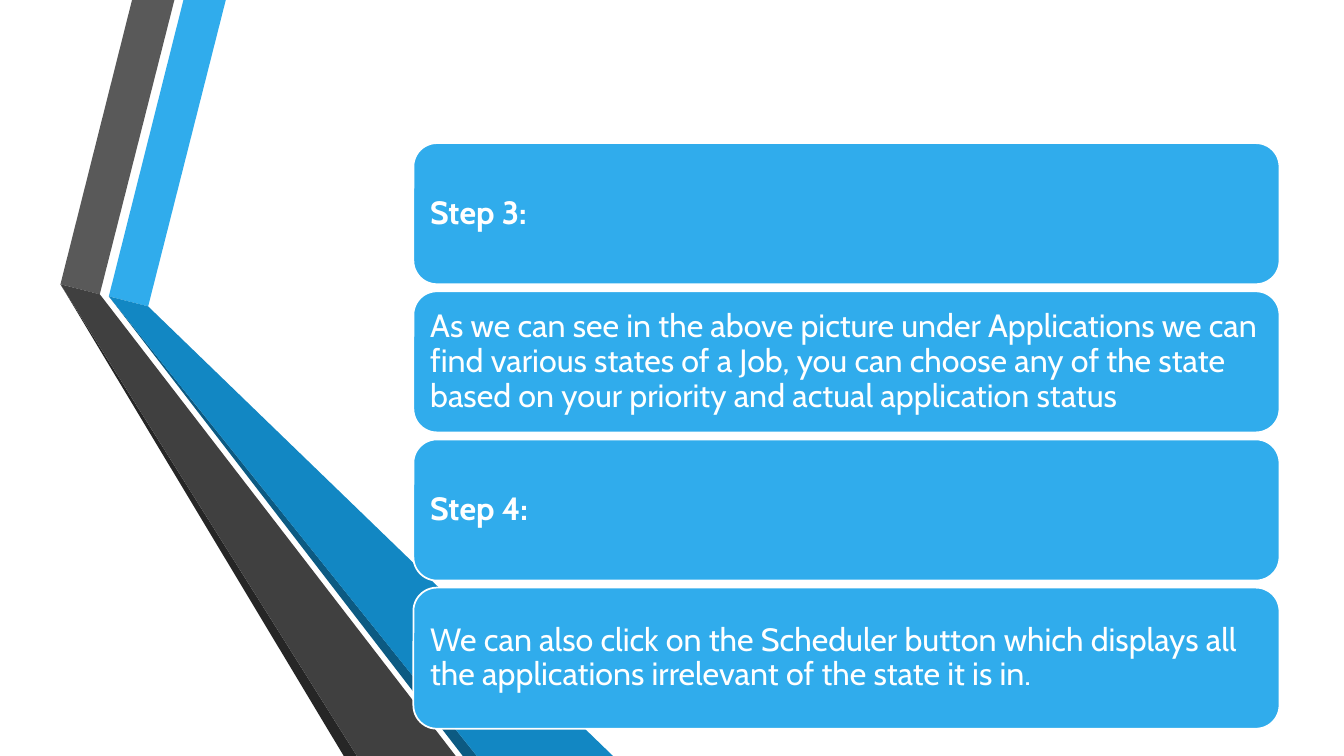
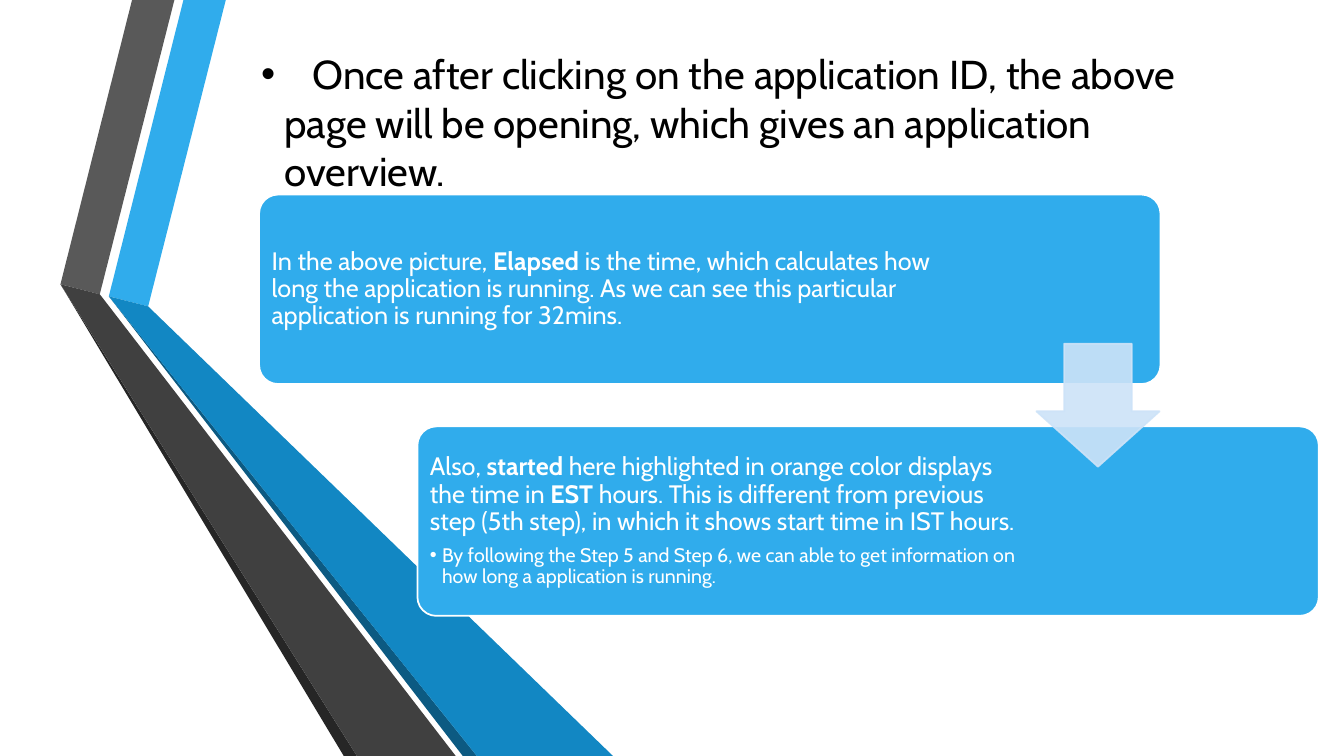
from dataclasses import dataclass

import pptx
import pptx.dml.color
import pptx.enum.shapes
import pptx.enum.text
import pptx.oxml
import pptx.oxml.ns
import pptx.util
from lxml import etree

PX = 9144  # EMU in one px, 100 px to the inch
SLIDE_WIDTH, SLIDE_HEIGHT = 1333, 750
TITLE_ONLY, BLANK = 5, 6


@dataclass(frozen=True)
class Theme:
    font: str = "Cabin"
    bullet_font: str = "Arial"
    blue: str = "30ACEC"
    blue_mid: str = "1287C3"
    blue_dark: str = "0C5A82"
    grey: str = "595959"
    grey_mid: str = "404040"
    grey_dark: str = "262626"
    arrow: str = "CDE3F8"
    white: str = "FFFFFF"
    black: str = "000000"
    title_size: float = 28.8
    step_size: int = 23
    note_size: int = 18
    detail_size: int = 14
    line_width: float = 1.25


THEME = Theme()

# Folded ribbon at the left: colour and corner points of each face
RIBBON_FACES = [
    (THEME.blue, [(108, 294), (147, 304), (224, 0), (182, 0)]),
    (THEME.grey, [(99, 292), (173, 0), (131, 0), (60, 282)]),
    (THEME.grey_dark, [(60, 282), (341, 750), (354, 750)]),
    (THEME.blue_dark, [(108, 294), (459, 750), (473, 750)]),
    (THEME.blue_mid, [(108, 294), (473, 750), (608, 750), (147, 304)]),
    (THEME.grey_mid, [(60, 282), (354, 750), (452, 750), (106, 301), (99, 292)]),
]

# Text runs are (text, bold)
STEPS = [
    ("Step 3:", True),
    ("As we can see in the above picture under Applications we can find various "
     "states of a Job, you can choose any of the state based on your priority "
     "and actual application status", False),
    ("Step 4:", True),
    ("We can also click on the Scheduler button which displays all the "
     "applications irrelevant of the state it is in.", False),
]
ELAPSED_NOTE = [
    ("In the above picture, ", False),
    ("Elapsed", True),
    (" is the time, which calculates how long the application is running. As we "
     "can see this particular application is running for 32mins.", False),
]
STARTED_NOTE = [
    ("Also, ", False),
    ("started", True),
    (" here highlighted in orange color displays the time in ", False),
    ("EST", True),
    (" hours. This is different from previous step (5th step), in which it shows "
     "start time in IST hours.", False),
]
STARTED_DETAIL = [
    ("By following the Step 5 and Step 6, we can able to get information on how "
     "long a application is running.", False),
]
OVERVIEW_TITLE = [
    ("\tOnce after clicking on the application ID, the above page will be "
     "opening, which gives an application overview.", False),
]


def px(*lengths):
    return [pptx.util.Emu(length * PX) for length in lengths]


def rgb(colour):
    return pptx.dml.color.RGBColor.from_string(colour)


# Formatting helpers
def paint(shape, fill, line=None):
    shape.shadow.inherit = False
    shape.fill.solid()
    shape.fill.fore_color.rgb = rgb(fill)
    if line is None:
        shape.line.fill.background()
    else:
        shape.line.color.rgb = rgb(line)
        shape.line.width = pptx.util.Pt(THEME.line_width)


def set_opacity(shape, percent):
    for colour in shape.element.spPr.iter(pptx.oxml.ns.qn("a:srgbClr")):
        alpha = etree.SubElement(colour, pptx.oxml.ns.qn("a:alpha"))
        alpha.set("val", str(percent * 1000))


def write_runs(paragraph, runs, size, colour):
    paragraph.alignment = pptx.enum.text.PP_ALIGN.LEFT
    for text, bold in runs:
        run = paragraph.add_run()
        run.text = text
        run.font.name = THEME.font
        run.font.size = pptx.util.Pt(size)
        run.font.bold = bold
        run.font.color.rgb = rgb(colour)


def add_bullet(paragraph, hang, tab_stop=None):
    properties = paragraph._p.get_or_add_pPr()
    properties.set("marL", str(hang * PX))
    properties.set("indent", str(-hang * PX))
    font = etree.SubElement(properties, pptx.oxml.ns.qn("a:buFont"))
    font.set("typeface", THEME.bullet_font)
    etree.SubElement(properties, pptx.oxml.ns.qn("a:buChar")).set("char", "•")
    if tab_stop:
        tabs = etree.SubElement(properties, pptx.oxml.ns.qn("a:tabLst"))
        tab = etree.SubElement(tabs, pptx.oxml.ns.qn("a:tab"))
        tab.set("pos", str(tab_stop * PX))
        tab.set("algn", "l")


# Elements
def add_ribbon_to_master(presentation, slide):
    """Build the faces on a slide, then move them behind everything on the master."""
    tree = presentation.slide_master.element.cSld.spTree
    for index, (colour, points) in enumerate(RIBBON_FACES):
        builder = slide.shapes.build_freeform(*points[0], scale=PX)
        builder.add_line_segments(points[1:], close=True)
        face = builder.convert_to_shape()
        paint(face, colour)
        face.name = f"Ribbon face {index + 1}"
        face.element.nvSpPr.cNvPr.id = 100 + index
        tree.insert(2 + index, face.element)


def add_card(slide, box, inset, right_inset, corner=None):
    card = slide.shapes.add_shape(
        pptx.enum.shapes.MSO_SHAPE.ROUNDED_RECTANGLE, *px(*box))
    paint(card, THEME.blue, THEME.white)
    if corner:
        card.adjustments[0] = corner
    frame = card.text_frame
    frame.word_wrap = True
    frame.vertical_anchor = pptx.enum.text.MSO_ANCHOR.MIDDLE
    frame.margin_left, frame.margin_top, frame.margin_bottom = px(inset, inset, inset)
    frame.margin_right = px(right_inset)[0]
    return frame


def write_card_paragraph(paragraph, runs, size, space_after=0):
    paragraph.line_spacing = 0.9
    paragraph.space_after = pptx.util.Pt(space_after)
    write_runs(paragraph, runs, size, THEME.white)


def set_title(slide, box, runs):
    title = slide.shapes.title
    title.left, title.top, title.width, title.height = px(*box)
    frame = title.text_frame
    frame.word_wrap = True
    frame.auto_size = pptx.enum.text.MSO_AUTO_SIZE.NONE
    frame.vertical_anchor = pptx.enum.text.MSO_ANCHOR.BOTTOM
    paragraph = frame.paragraphs[0]
    write_runs(paragraph, runs, THEME.title_size, THEME.black)
    add_bullet(paragraph, hang=23, tab_stop=51)


def add_down_arrow(slide, box):
    arrow = slide.shapes.add_shape(
        pptx.enum.shapes.MSO_SHAPE.DOWN_ARROW, *px(*box))
    arrow.adjustments[0] = 0.55
    arrow.adjustments[1] = 0.45
    paint(arrow, THEME.arrow, THEME.arrow)
    set_opacity(arrow, 90)


# Slides
def fill_steps_slide(slide):
    top, height, gap = 142, 140, 7
    for index, step in enumerate(STEPS):
        box = (410, top + index * (height + gap), 859, height)
        frame = add_card(slide, box, inset=10, right_inset=10)
        write_card_paragraph(frame.paragraphs[0], [step], THEME.step_size)


def fill_overview_slide(slide):
    set_title(slide, (249, 43, 990, 155), OVERVIEW_TITLE)
    width, height = 894, 188

    elapsed = add_card(slide, (257, 193, width, height), 7, 190, corner=0.1)
    write_card_paragraph(elapsed.paragraphs[0], ELAPSED_NOTE, THEME.note_size)

    started = add_card(slide, (414, 423, width, height), 7, 287, corner=0.1)
    write_card_paragraph(
        started.paragraphs[0], STARTED_NOTE, THEME.note_size, space_after=7)
    detail = started.add_paragraph()
    detail.level = 1
    write_card_paragraph(detail, STARTED_DETAIL, THEME.detail_size)
    add_bullet(detail, hang=12)

    add_down_arrow(slide, (1028, 341, 122, 122))


def main():
    presentation = pptx.Presentation()
    presentation.slide_width, presentation.slide_height = px(SLIDE_WIDTH, SLIDE_HEIGHT)
    layouts = presentation.slide_layouts

    steps_slide = presentation.slides.add_slide(layouts[BLANK])
    add_ribbon_to_master(presentation, steps_slide)
    fill_steps_slide(steps_slide)
    fill_overview_slide(presentation.slides.add_slide(layouts[TITLE_ONLY]))

    presentation.save("out.pptx")


if __name__ == "__main__":
    main()
